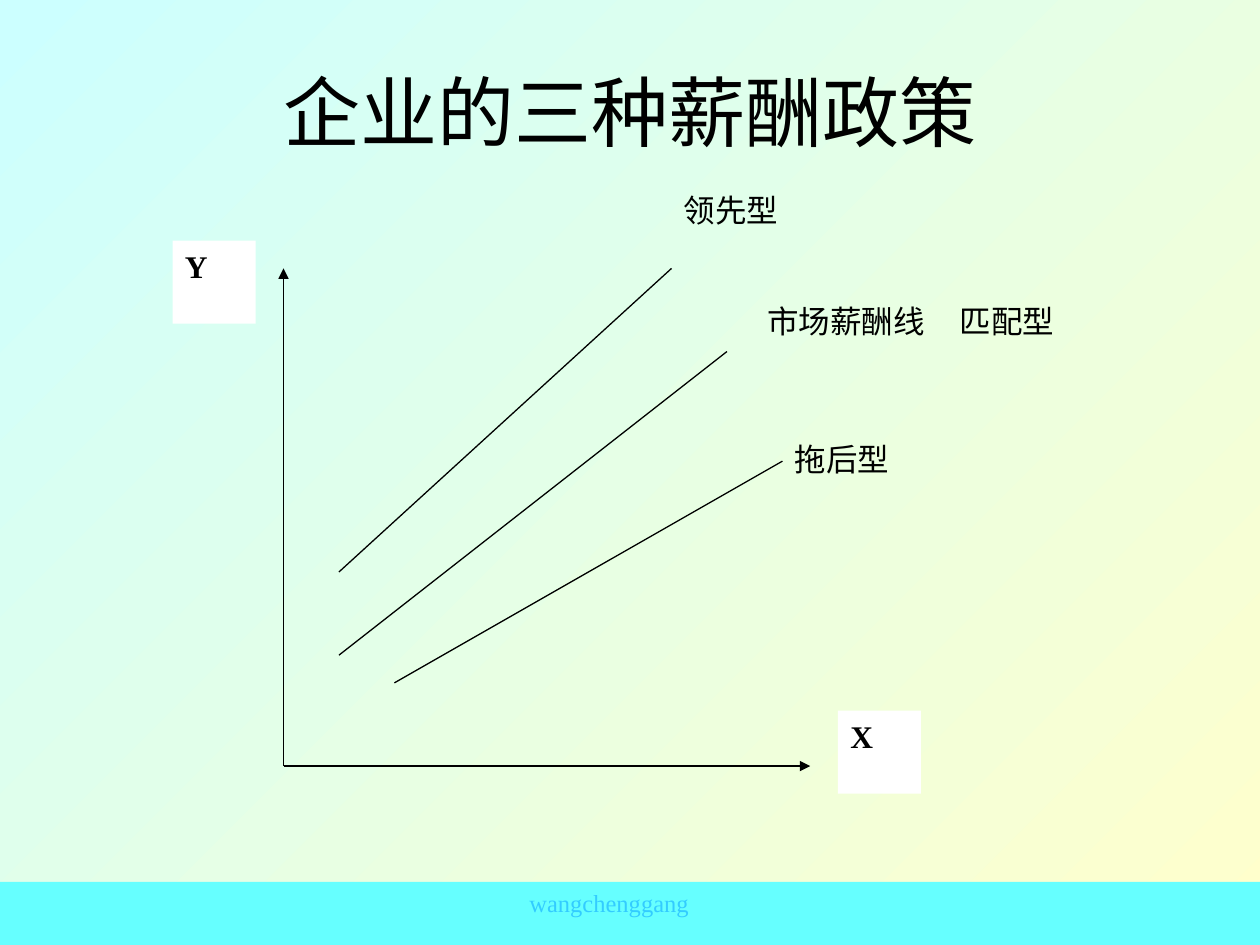
from pptx import Presentation
from pptx.dml.color import RGBColor
from pptx.enum.shapes import MSO_CONNECTOR, MSO_SHAPE
from pptx.enum.text import MSO_ANCHOR, PP_ALIGN
from pptx.oxml.ns import qn
from pptx.util import Inches, Pt
from lxml.etree import SubElement

THEME = {
    "font": "Times New Roman", "ink": "000000", "label_fill": "FFFFFF",
    "bg": ("CCFFFF", "FFFFCC"), "bar": "66FFFF", "footer": "33CCFF",
    "title_pt": 44, "label_pt": 18, "footer_pt": 14, "line_pt": 0.75,
}
TITLE = ("企业的三种薪酬政策", (0.75, 0.25, 8.5, 1.25))
FOOTER = ("wangchenggang", (3.25, 7, 3.17, 0.33))
BAR = (0, 7, 10, 0.5)
ORIGIN = (2.25, 6.08)
AXES = [("X", (6.43, 6.08), (6.65, 5.64)), ("Y", (2.25, 2.13), (1.37, 1.91))]
AXIS_BOX = (0.66, 0.66)
PAY_LINES = [
    ((2.69, 4.54), (5.33, 2.13)),
    ((2.69, 5.2), (5.77, 2.79)),
    ((3.13, 5.42), (6.21, 3.66)),
]
LABELS = [
    ("领先型", (5.33, 1.47, 1.1, 0.51)),
    ("市场薪酬线", (5.99, 2.35, 1.54, 0.51)),
    ("匹配型", (7.52, 2.35, 1.1, 0.51)),
    ("拖后型", (6.21, 3.44, 1.54, 0.51)),
]


def rgb(key):
    return RGBColor.from_string(THEME[key])


def add_rect(s, box, fill):
    sp = s.shapes.add_shape(MSO_SHAPE.RECTANGLE, *map(Inches, box))
    sp.shadow.inherit = False
    sp.fill.solid()
    sp.fill.fore_color.rgb = rgb(fill)
    sp.line.fill.background()
    return sp


def set_text(sp, text, size="label_pt", color="ink", align=PP_ALIGN.JUSTIFY,
             anchor=MSO_ANCHOR.TOP, bold=False):
    tf = sp.text_frame
    tf.text = text
    tf.word_wrap = True
    tf.vertical_anchor = anchor
    p = tf.paragraphs[0]
    p.alignment = align
    font = p.runs[0].font
    font.name, font.size, font.bold = THEME["font"], Pt(THEME[size]), bold
    font.color.rgb = rgb(color)


def add_text(s, text, box, **style):
    set_text(s.shapes.add_textbox(*map(Inches, box)), text, **style)


def add_line(s, start, end, arrow=False):
    c = s.shapes.add_connector(MSO_CONNECTOR.STRAIGHT, *map(Inches, start + end))
    c.line.color.rgb = rgb("ink")
    c.line.width = Pt(THEME["line_pt"])
    if arrow:
        SubElement(c.line._get_or_add_ln(), qn("a:tailEnd"), type="triangle")
    SubElement(c._element.spPr, qn("a:effectLst"))


def main():
    """Build the slide on the three pay policies."""
    prs = Presentation()
    prs.slide_width, prs.slide_height = Inches(10), Inches(7.5)
    s = prs.slides.add_slide(prs.slide_layouts[6])
    fill = s.background.fill
    fill.gradient()
    fill.gradient_angle = 315
    for stop, color in zip(fill.gradient_stops, THEME["bg"]):
        stop.color.rgb = RGBColor.from_string(color)

    add_rect(s, BAR, "bar")
    add_text(s, *FOOTER, size="footer_pt", color="footer", align=PP_ALIGN.CENTER)
    add_text(s, *TITLE, size="title_pt", align=PP_ALIGN.CENTER, anchor=MSO_ANCHOR.MIDDLE)
    for name, tip, corner in AXES:
        add_line(s, ORIGIN, tip, arrow=True)
        set_text(add_rect(s, corner + AXIS_BOX, "label_fill"), name, bold=True)
    for start, end in PAY_LINES:
        add_line(s, start, end)
    for text, box in LABELS:
        add_text(s, text, box)
    prs.save("out.pptx")


if __name__ == "__main__":
    main()
